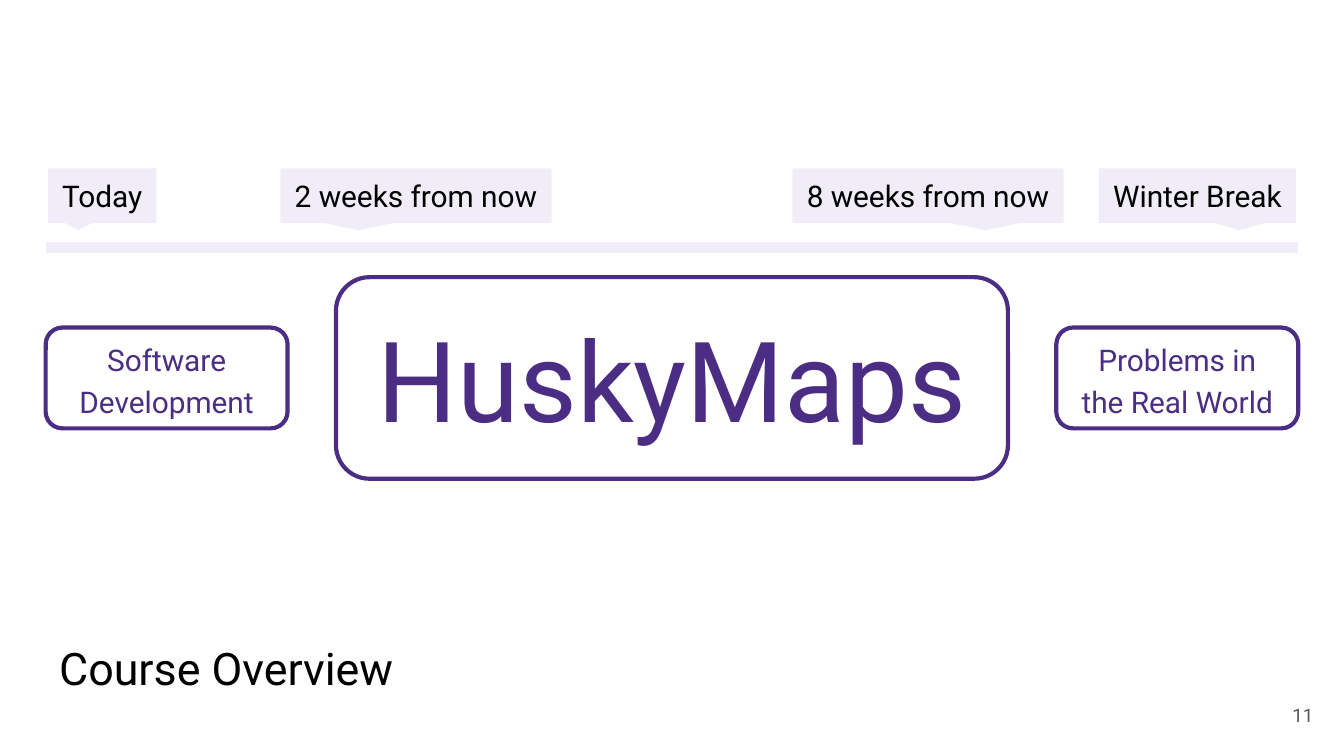
"""Build the course overview timeline slide."""
from pptx import Presentation
from pptx.dml.color import RGBColor
from pptx.enum.shapes import MSO_CONNECTOR, MSO_SHAPE as SHAPE
from pptx.enum.text import MSO_ANCHOR as ANCHOR, PP_ALIGN as ALIGN
from pptx.oxml.ns import qn
from pptx.util import Inches, Pt
from lxml.etree import SubElement

PURPLE, LILAC, WHITE, BLACK, GREY = "4B2E83", "F0ECF8", "FFFFFF", "000000", "595959"


def rgb(color):
    return RGBColor.from_string(color)


def write(sp, text, size, color, align, anchor=ANCHOR.MIDDLE, spacing=1.0):
    tf = sp.text_frame
    frame = {"word_wrap": True, "vertical_anchor": anchor}
    frame.update({f"margin_{side}": Inches(0.1) for side in ("left", "top", "right", "bottom")})
    p = tf.paragraphs[0]
    r = p.add_run()
    r.text = text
    r.font.color.rgb = rgb(color)
    formats = (
        (tf, frame),
        (p, {"alignment": align, "line_spacing": spacing}),
        (r.font, {"name": "Roboto", "size": Pt(size), "bold": False}),
    )
    for target, values in formats:
        for name, value in values.items():
            setattr(target, name, value)


prs = Presentation()
prs.slide_width, prs.slide_height = Inches(10), Inches(5.625)
col, row = prs.slide_width / 100, prs.slide_height / 100
left, right = 3.4, 96.6
s = prs.slides.add_slide(prs.slide_layouts[5])

title = s.shapes.title
place = {"left": left * col, "top": 82.5 * row, "width": (right - left) * col, "height": 11.2 * row}
for name, value in place.items():
    setattr(title, name, int(value))
write(title, "Course Overview", 24, BLACK, ALIGN.LEFT, ANCHOR.BOTTOM)

topics = (
    ("Software Development", left, 18, 13.33, 16, 1.15),
    ("HuskyMaps", 25, 50, 26.67, 60, 1.0),
    ("Problems in the Real World", right - 18, 18, 13.33, 16, 1.15),
)
for text, x, width, height, size, spacing in topics:
    y = 50 - height / 2
    sp = s.shapes.add_shape(SHAPE.ROUNDED_RECTANGLE, *map(int, (x * col, y * row, width * col, height * row)))
    sp.shadow.inherit = False
    sp.fill.solid()
    sp.fill.fore_color.rgb = rgb(WHITE)
    sp.line.color.rgb = rgb(PURPLE)
    sp.line.width = Pt(2.25)
    write(sp, text, size, PURPLE, ALIGN.CENTER, spacing=spacing)

y = int(32.7 * row)
timeline = s.shapes.add_connector(MSO_CONNECTOR.STRAIGHT, int(left * col), y, int(right * col), y)
timeline.line.color.rgb = rgb(LILAC)
timeline.line.width = Pt(6)
SubElement(timeline._element.spPr, qn("a:effectLst"))

dates = (
    ("Today", left, 8.4, -0.208),
    ("2 weeks from now", 20.7, 20.5, -0.208),
    ("8 weeks from now", 58.8, 20.5, 0.208),
    ("Winter Break", right - 15, 15, 0.208),
)
for text, x, width, tip in dates:
    sp = s.shapes.add_shape(SHAPE.ROUNDED_RECTANGULAR_CALLOUT, *map(int, (x * col, 22 * row, width * col, 7.8 * row)))
    for i, value in enumerate((tip, 0.625, 0)):
        sp.adjustments[i] = value
    sp.shadow.inherit = False
    sp.fill.solid()
    sp.fill.fore_color.rgb = rgb(LILAC)
    sp.line.color.rgb = rgb(WHITE)
    sp.line.width = Pt(2.25)
    write(sp, text, 16, BLACK, ALIGN.CENTER)

number = s.shapes.add_textbox(*map(int, (92.7 * col, 90.7 * row, 6 * col, 7.65 * row)))
write(number, "11", 10, GREY, ALIGN.RIGHT)

prs.save("out.pptx")
